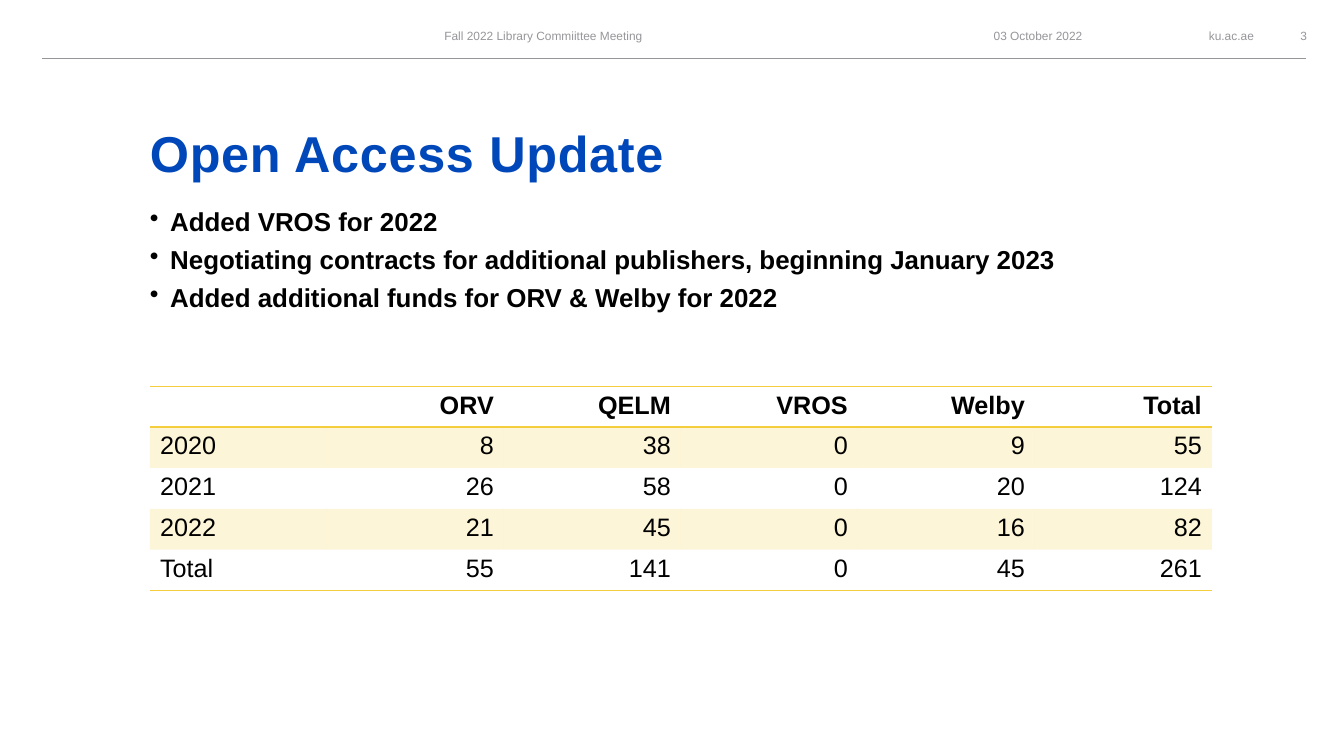
"""Build the Open Access Update slide with its header strip, bullets and table."""
from dataclasses import dataclass

from lxml import etree
from pptx import Presentation
from pptx import util as u
from pptx.dml import color
from pptx.enum import shapes, text
from pptx.oxml import ns

LEFT, CENTER, RIGHT = text.PP_ALIGN.LEFT, text.PP_ALIGN.CENTER, text.PP_ALIGN.RIGHT
TOP, MIDDLE, BOTTOM = text.MSO_ANCHOR.TOP, text.MSO_ANCHOR.MIDDLE, text.MSO_ANCHOR.BOTTOM
NO_STYLE = "{2D5ABB26-0587-4C30-8999-92F81FD0307C}"


@dataclass(frozen=True)
class Theme:
    """Colours, font and type sizes of the slide."""
    font: str = "Arial"
    title: str = "0047BA"
    body: str = "000000"
    muted: str = "96969A"
    gold: str = "F5CE3E"
    header_size: float = 8.5
    title_size: float = 36
    bullet_size: float = 18.5
    table_size: float = 18


@dataclass(frozen=True)
class HeaderItem:
    """A small label in the header strip, placed in centimetres."""
    label: str
    left: float
    width: float
    align: text.PP_ALIGN


THEME = Theme()
HEADER = (
    HeaderItem("ku.ac.ae", 28.93, 2.67, RIGHT),
    HeaderItem("03 October 2022", 22.45, 4.83, RIGHT),
    HeaderItem("Fall 2022 Library Commiittee Meeting", 7.98, 11.43, CENTER),
    HeaderItem("3", 32.13, 1.45, CENTER),
)
BULLETS = (
    "Added VROS for 2022",
    "Negotiating contracts for additional publishers, beginning January 2023",
    "Added additional funds for ORV & Welby for 2022",
)
ARTICLES = (
    ("", "ORV", "QELM", "VROS", "Welby", "Total"),
    ("2020", "8", "38", "0", "9", "55"),
    ("2021", "26", "58", "0", "20", "124"),
    ("2022", "21", "45", "0", "16", "82"),
    ("Total", "55", "141", "0", "45", "261"),
)
MARGIN, CONTENT_WIDTH = 3.78, 27.76
COLUMN_WIDTH, ROW_HEIGHT = 4.46, 1.03


def write(para, words: str, *, size: float, ink: str, bold: bool = False,
          align: text.PP_ALIGN = LEFT, tracking: float = 0) -> None:
    """Put formatted words into a paragraph."""
    para.alignment = align
    para.font.size = u.Pt(size)
    if not words:
        return
    span = para.add_run()
    span.text = words
    span.font.name = THEME.font
    span.font.size = u.Pt(size)
    span.font.bold = bold
    span.font.color.rgb = color.RGBColor.from_string(ink)
    if tracking:
        span.font._element.set("spc", str(round(tracking * 100)))


def add_frame(page, left: float, top: float, width: float, height: float,
              anchor: text.MSO_ANCHOR):
    """Add a wrapping text box without insets and return its text frame."""
    box = page.shapes.add_textbox(u.Cm(left), u.Cm(top), u.Cm(width), u.Cm(height))
    frame = box.text_frame
    frame.word_wrap = True
    frame.vertical_anchor = anchor
    frame.margin_left = frame.margin_right = frame.margin_top = frame.margin_bottom = 0
    return frame


def add_header(page) -> None:
    """Draw the header labels and the rule below them."""
    for item in HEADER:
        frame = add_frame(page, item.left, 0.56, item.width, 0.69, MIDDLE)
        write(frame.paragraphs[0], item.label, size=THEME.header_size,
              ink=THEME.muted, align=item.align)
    rule = page.shapes.add_connector(shapes.MSO_CONNECTOR.STRAIGHT, u.Cm(1.07), u.Cm(1.47),
                                     u.Cm(32.92), u.Cm(1.47))
    rule.line.color.rgb = color.RGBColor.from_string(THEME.muted)
    rule.line.width = u.Pt(0.75)
    etree.SubElement(rule._element.spPr, ns.qn("a:effectLst"))


def add_bullets(page) -> None:
    """Draw the bulleted statements."""
    frame = add_frame(page, MARGIN, 5.18, CONTENT_WIDTH, 12.34, TOP)
    for index, statement in enumerate(BULLETS):
        para = frame.add_paragraph() if index else frame.paragraphs[0]
        properties = para._p.get_or_add_pPr()
        properties.set("marL", str(u.Cm(0.51)))
        properties.set("indent", str(-u.Cm(0.51)))
        etree.SubElement(properties, ns.qn("a:buChar"), char="•")
        if index:
            para.space_before = u.Pt(5)
        write(para, statement, size=THEME.bullet_size, ink=THEME.body, bold=True)


def paint_cell(cell, banded: bool, edges: tuple[str, ...]) -> None:
    """Fill a cell and draw gold lines on the named edges."""
    if banded:
        cell.fill.solid()
        cell.fill.fore_color.rgb = color.RGBColor.from_string(THEME.gold)
        tint = cell._tc.tcPr.find(".//" + ns.qn("a:srgbClr"))
        etree.SubElement(tint, ns.qn("a:alpha"), val="20000")
    else:
        cell.fill.background()
    for position, edge in enumerate(edges):
        line = etree.Element(ns.qn(f"a:{edge}"), w=str(u.Pt(1)))
        paint = etree.SubElement(line, ns.qn("a:solidFill"))
        etree.SubElement(paint, ns.qn("a:srgbClr"), val=THEME.gold)
        cell._tc.tcPr.insert(position, line)


def add_articles_table(page) -> None:
    """Draw the table of articles by year and publisher."""
    rows, columns = len(ARTICLES), len(ARTICLES[0])
    table = page.shapes.add_table(rows, columns, u.Cm(MARGIN), u.Cm(9.73),
                                  u.Cm(COLUMN_WIDTH * columns),
                                  u.Cm(ROW_HEIGHT * rows)).table
    table.first_row = table.horz_banding = False
    table._tbl.tblPr.find(ns.qn("a:tableStyleId")).text = NO_STYLE
    edges = {0: ("lnT", "lnB"), rows - 1: ("lnB",)}
    for r, values in enumerate(ARTICLES):
        for c, value in enumerate(values):
            cell = table.cell(r, c)
            paint_cell(cell, r % 2 == 1, edges.get(r, ()))
            write(cell.text_frame.paragraphs[0], value, size=THEME.table_size,
                  ink=THEME.body, bold=r == 0, align=RIGHT if c else LEFT)


def main() -> None:
    """Assemble and save the deck."""
    deck = Presentation()
    deck.slide_width, deck.slide_height = u.Cm(33.87), u.Cm(19.05)
    page = deck.slides.add_slide(deck.slide_layouts[6])
    add_header(page)
    title = add_frame(page, MARGIN, 1.5, CONTENT_WIDTH, 3.1, BOTTOM)
    write(title.paragraphs[0], "Open Access Update", size=THEME.title_size,
          ink=THEME.title, bold=True, tracking=0.5)
    add_bullets(page)
    add_articles_table(page)
    deck.save("out.pptx")


if __name__ == "__main__":
    main()
